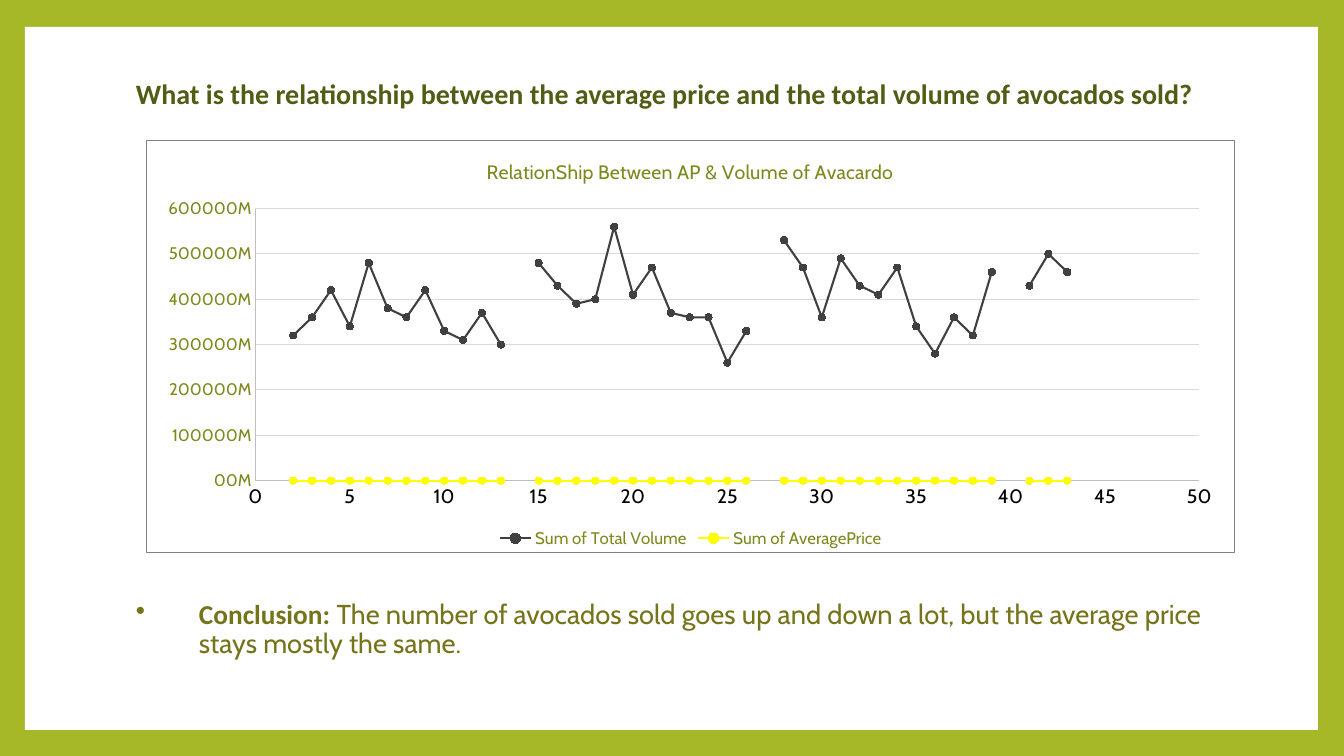
from lxml import etree
from pptx import Presentation
from pptx.chart.data import XyChartData
from pptx.dml.color import RGBColor
from pptx.enum.chart import XL_CHART_TYPE as ChartType
from pptx.enum.chart import XL_LEGEND_POSITION as LegendPosition
from pptx.enum.chart import XL_MARKER_STYLE as MarkerStyle
from pptx.enum.chart import XL_TICK_MARK as TickMark
from pptx.enum.shapes import MSO_SHAPE as Preset
from pptx.enum.text import MSO_ANCHOR as Anchor
from pptx.oxml import parse_xml
from pptx.oxml.ns import nsdecls, qn
from pptx.util import Pt

EMU_PER_INCH = 914400
PX_PER_INCH = 100.8
COLORS = {
    "frame": "A6B727", "paper": "FFFFFF", "title": "535C14",
    "conclusion": "75741A", "label": "7D891D", "black": "000000",
    "border": "818183", "axis": "BFBFBF", "grid": "D9D9D9",
    "volume": "404042", "price": "FFFF00",
}
MILLION = 1_000_000
VOLUME_BY_YEAR = [
    [320, 360, 420, 340, 480, 380, 360, 420, 330, 310, 370, 300],
    [480, 430, 390, 400, 560, 410, 470, 370, 360, 360, 260, 330],
    [530, 470, 360, 490, 430, 410, 470, 340, 280, 360, 320, 460],
    [430, 500, 460],
]


def px(length):
    return round(length * EMU_PER_INCH / PX_PER_INCH)


def color(name):
    return RGBColor.from_string(COLORS[name])


class SlideBuilder:
    def __init__(self, slide, heading_font="Calibri", body_font="Cabin"):
        self.slide = slide
        self.heading_font = heading_font
        self.body_font = body_font

    def background(self, fill):
        self.slide.background.fill.solid()
        self.slide.background.fill.fore_color.rgb = color(fill)

    def panel(self, box, fill):
        shape = self.slide.shapes.add_shape(Preset.RECTANGLE, *map(px, box))
        shape.shadow.inherit = False
        shape.fill.solid()
        shape.fill.fore_color.rgb = color(fill)
        shape.line.fill.background()

    def text(self, box, runs, size, text_color, hanging=0):
        frame = self.slide.shapes.add_textbox(*map(px, box)).text_frame
        frame.word_wrap = True
        frame.vertical_anchor = Anchor.MIDDLE
        paragraph = frame.paragraphs[0]
        paragraph.line_spacing = 0.9
        if hanging:
            properties = paragraph._p.get_or_add_pPr()
            properties.set("marL", str(px(hanging)))
            properties.set("indent", str(-px(hanging)))
            etree.SubElement(properties, qn("a:buChar")).set("char", "•")
        for wording, bold in runs:
            run = paragraph.add_run()
            run.text = wording
            font = self.heading_font if bold else self.body_font
            self.style_font(run.font, size, text_color, font)
            run.font.bold = bold

    def style_font(self, font, size, text_color, name=None):
        font.name = name or self.body_font
        font.size = Pt(size)
        font.bold = False
        font.color.rgb = color(text_color)

    def style_line(self, line, line_color, width):
        line.color.rgb = color(line_color)
        line.width = Pt(width)

    def scatter(self, box, title, series_list):
        data = XyChartData()
        for name, values, _ in series_list:
            series_data = data.add_series(name)
            for position, value in enumerate(values, 1):
                series_data.add_data_point(position, value)
        chart = self.slide.shapes.add_chart(
            ChartType.XY_SCATTER_LINES, *map(px, box), data).chart
        self.style_font(chart.font, 10, "black")
        chart.has_title = True
        run = chart.chart_title.text_frame.paragraphs[0].add_run()
        run.text = title
        self.style_font(run.font, 14, "label")
        chart.has_legend = True
        chart.legend.position = LegendPosition.BOTTOM
        chart.legend.include_in_layout = False
        self.style_font(chart.legend.font, 12, "label")
        chart.plots[0].vary_by_categories = False
        for series, (_, _, series_color) in zip(chart.plots[0].series, series_list):
            self.series(series, series_color)
        self.axis(chart.category_axis, 50, 5, 14, "black")
        self.axis(chart.value_axis, 600 * MILLION, 100 * MILLION, 12, "label")
        chart.category_axis.has_major_gridlines = False
        self.style_line(chart.value_axis.major_gridlines.format.line, "grid", 0.75)
        labels = chart.value_axis.tick_labels
        labels.number_format = '00,"M"'
        labels.number_format_is_linked = False
        self.chart_area(chart)
        self.plot_layout(chart, x=0.1, y=0.165, w=0.868, h=0.661)

    def series(self, series, series_color):
        series.smooth = False
        self.style_line(series.format.line, series_color, 1.5)
        marker = series.marker
        marker.style = MarkerStyle.CIRCLE
        marker.size = 5
        marker.format.fill.solid()
        marker.format.fill.fore_color.rgb = color(series_color)
        self.style_line(marker.format.line, series_color, 0.75)

    def axis(self, axis, maximum, step, size, text_color):
        axis.minimum_scale = 0
        axis.maximum_scale = maximum
        axis.major_unit = step
        axis.has_major_gridlines = True
        axis.major_tick_mark = TickMark.NONE
        axis.minor_tick_mark = TickMark.NONE
        self.style_line(axis.format.line, "axis", 0.75)
        self.style_font(axis.tick_labels.font, size, text_color)

    def chart_area(self, chart):
        area = parse_xml(
            f'<c:spPr {nsdecls("c", "a")}>'
            f'<a:solidFill><a:srgbClr val="{COLORS["paper"]}"/></a:solidFill>'
            f'<a:ln w="{Pt(1)}"><a:solidFill><a:srgbClr val="{COLORS["border"]}"/>'
            '</a:solidFill></a:ln></c:spPr>')
        chart.element.find(qn("c:txPr")).addprevious(area)

    def plot_layout(self, chart, **fractions):
        plot_area = chart.element.find(".//" + qn("c:plotArea"))
        for layout in plot_area.findall(qn("c:layout")):
            plot_area.remove(layout)
        layout = etree.Element(qn("c:layout"))
        manual = etree.SubElement(layout, qn("c:manualLayout"))
        settings = {"layoutTarget": "inner", "xMode": "edge", "yMode": "edge", **fractions}
        for tag, value in settings.items():
            etree.SubElement(manual, qn(f"c:{tag}")).set("val", str(value))
        plot_area.insert(0, layout)


def main():
    presentation = Presentation()
    presentation.slide_width = px(1344)
    presentation.slide_height = px(756)
    slide = presentation.slides.add_slide(presentation.slide_layouts[6])
    builder = SlideBuilder(slide)

    builder.background("frame")
    builder.panel((25, 27, 1293, 703), "paper")
    builder.text((126, 68, 1089, 55), [
        ("What is the relationship between the average price "
         "and the total volume of avocados sold?", True),
    ], 20, "title")

    volumes, prices = [], []
    for year in VOLUME_BY_YEAR:
        volumes += [None] + [volume * MILLION for volume in year]
        prices += [None] + [0] * len(year)
    builder.scatter((146, 140, 1089, 413), "RelationShip Between AP & Volume of Avacardo", [
        ("Sum of Total Volume", volumes, "volume"),
        ("Sum of AveragePrice", prices, "price"),
    ])

    builder.text((126, 552, 1089, 156), [
        ("Conclusion: ", True),
        ("The number of avocados sold goes up and down a lot, "
         "but the average price stays mostly the same.", False),
    ], 19.5, "conclusion", hanging=63)
    presentation.save("out.pptx")


if __name__ == "__main__":
    main()
